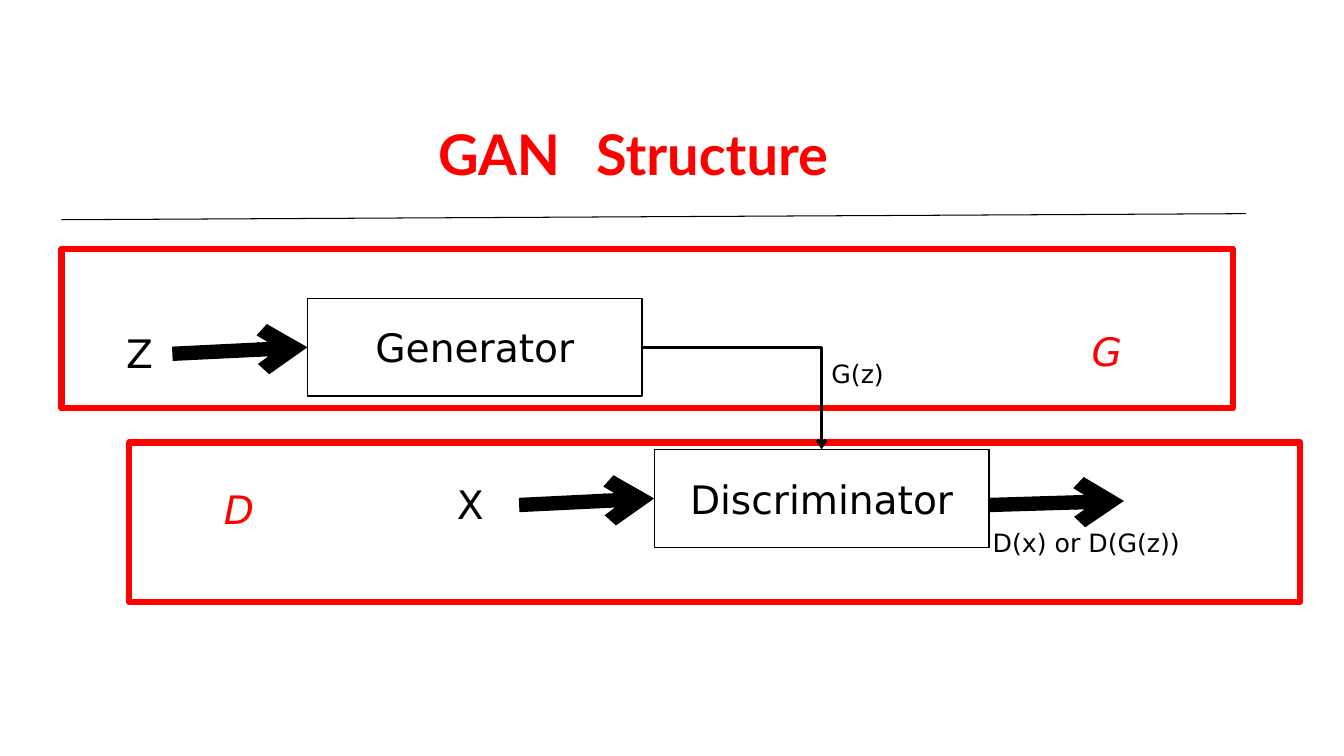
from dataclasses import dataclass
from lxml.etree import SubElement
from pptx import Presentation
from pptx.dml.color import RGBColor
from pptx.enum.shapes import MSO_CONNECTOR, MSO_SHAPE
from pptx.enum.text import MSO_ANCHOR, MSO_AUTO_SIZE, PP_ALIGN
from pptx.oxml.ns import qn
from pptx.util import Inches, Pt


@dataclass(frozen=True)
class Theme:
    red: RGBColor = RGBColor(255, 0, 0)
    black: RGBColor = RGBColor(0, 0, 0)
    head: str = "Lato"
    body: str = "DejaVu Sans"
    title: int = 40
    large: int = 28
    small: int = 18
    thick: float = 10.25
    frame: float = 4.5
    flow: float = 2.25
    edge: float = 1
    rule: float = 0.75


THEME = Theme()
COLS, ROWS = 133.33, 75  # square cells, ten to the inch
STAGE = (33.2, 9.7)


def cell(*counts):
    return [Inches(n / 10) for n in counts]


def style(run, **look):
    base = dict(name=THEME.body, size=THEME.large, color=THEME.black)
    base.update(look)
    run.font.color.rgb = base.pop("color")
    base["size"] = Pt(base["size"])
    for key, value in base.items():
        setattr(run.font, key, value)


def write(slide, box, text, align=PP_ALIGN.CENTER, **look):
    frame = slide.shapes.add_textbox(*cell(*box)).text_frame
    frame.word_wrap = True
    frame.auto_size = MSO_AUTO_SIZE.SHAPE_TO_FIT_TEXT
    para = frame.paragraphs[0]
    para.alignment = align
    run = para.add_run()
    run.text = text
    style(run, **look)


def outline(slide, box, color, width):
    rect = slide.shapes.add_shape(MSO_SHAPE.RECTANGLE, *cell(*box))
    rect.shadow.inherit = False
    rect.fill.background()
    rect.line.color.rgb = color
    rect.line.width = Pt(width)
    return rect


def link(slide, start, end, width, kind=MSO_CONNECTOR.STRAIGHT, arrow=True):
    line = slide.shapes.add_connector(kind, *cell(*start, *end))
    line.line.color.rgb = THEME.black
    line.line.width = Pt(width)
    if arrow:
        SubElement(line.line._get_or_add_ln(), qn("a:tailEnd"), type="arrow")
    SubElement(line._element.spPr, qn("a:effectLst"))
    return line


# Title and the rule below it
def header(slide, box):
    x, y, wide, high = box
    link(slide, (x, y + high), (x + wide, y + high - 0.6), THEME.rule, arrow=False)
    title = slide.shapes.add_textbox(*cell(x + 9.6, y, 94.2, 14.1)).text_frame
    title.word_wrap = True
    title.vertical_anchor = MSO_ANCHOR.MIDDLE
    para = title.paragraphs[0]
    para.alignment = PP_ALIGN.CENTER
    para.line_spacing = 0.9
    for text in ("GAN", " ", "Structure"):
        run = para.add_run()
        run.text = text
        style(run, name=THEME.head, size=THEME.title, color=THEME.red, bold=True)
        if text == " ":  # widened word gap
            run._r.get_or_add_rPr().set("spc", "1600")


# Red frame with its letter, the network inside and its input
def network(slide, box, tag, spot, name, shift, source, gap):
    x, y = box[:2]
    outline(slide, box, THEME.red, THEME.frame)
    write(slide, (x + spot[0], y + spot[1], 14.4, 5.7), tag,
          color=THEME.red, italic=True)
    left, top = x + shift[0], y + shift[1]
    stage = outline(slide, (left, top, *STAGE), THEME.black, THEME.edge)
    para = stage.text_frame.paragraphs[0]
    para.alignment = PP_ALIGN.CENTER
    run = para.add_run()
    run.text = name
    style(run)
    write(slide, (left - gap, top + 2.6, 9.7, 5.7), source)
    feed = link(slide, (left - 13.4, top + 5.5), (left, top + 5), THEME.thick)
    feed.end_connect(stage, 1)
    return stage, left + STAGE[0], top


# Links between the networks and the final output
def flow(slide, maker, judge):
    first, right, top = maker
    second, edge, level = judge
    bend = link(slide, (right, top + STAGE[1] / 2), (edge - STAGE[0] / 2, level),
                THEME.flow, MSO_CONNECTOR.ELBOW)
    bend._element.spPr.prstGeom.set("prst", "bentConnector2")
    bend.begin_connect(first, 3)
    bend.end_connect(second, 0)
    link(slide, (edge, level + 5.5), (edge + 13.4, level + 5.1), THEME.thick)
    for box, text in (((right + 17.8, top + 5.5, 11.5, 4), "G(z)"),
                      ((edge - 0.6, level + 7.2, 21.3, 4), "D(x) or D(G(z))")):
        write(slide, box, text, PP_ALIGN.LEFT, size=THEME.small)


def main():
    deck = Presentation()
    deck.slide_width, deck.slide_height = cell(COLS, ROWS)
    slide = deck.slides.add_slide(deck.slide_layouts[6])
    header(slide, (6.1, 8.6, 117.5, 13.2))
    maker = network(slide, (6.1, 24.7, 116.2, 15.8), "G", (96.5, 7.3),
                    "Generator", (24.4, 4.9), "Z", 21.5)
    judge = network(slide, (12.8, 43.9, 116.2, 15.8), "D", (3.7, 3.8),
                    "Discriminator", (52.1, 0.7), "X", 23.1)
    flow(slide, maker, judge)
    deck.save("out.pptx")


if __name__ == "__main__":
    main()
